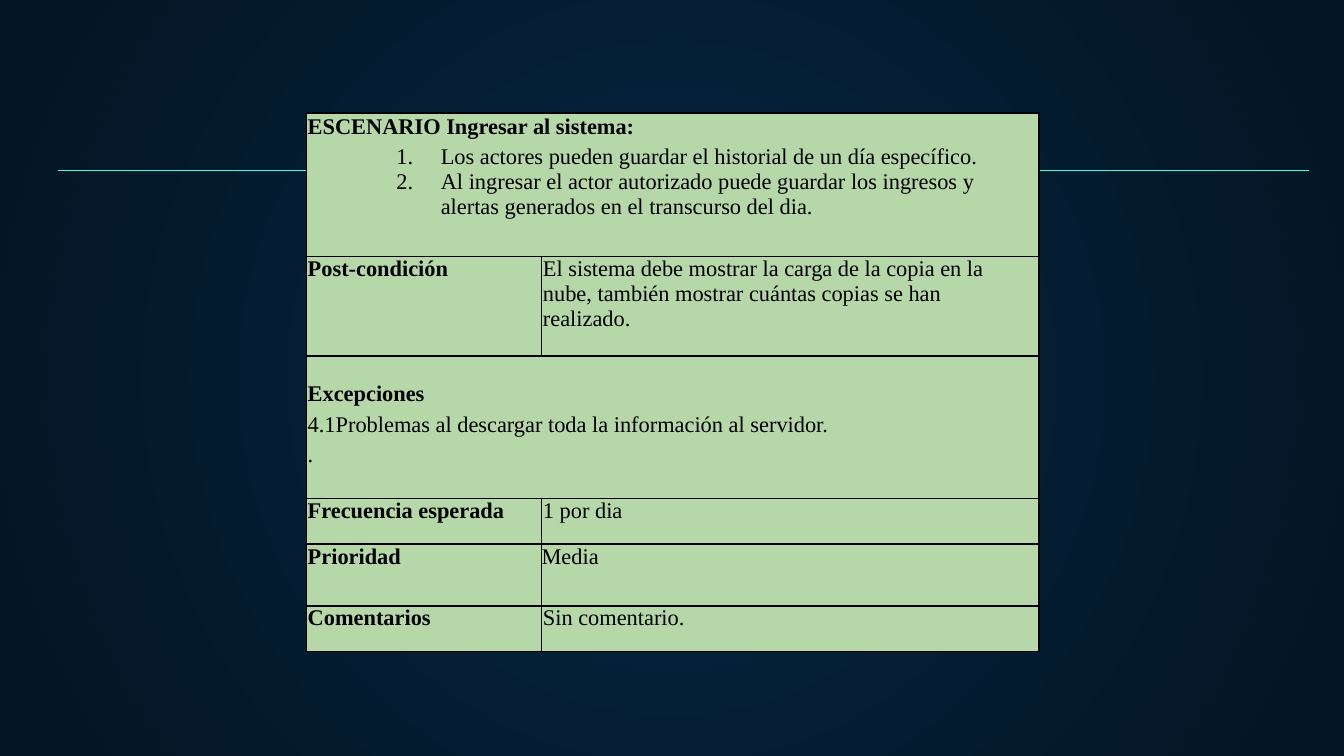
from lxml import etree
from pptx import Presentation
from pptx.dml.color import RGBColor
from pptx.enum.shapes import MSO_CONNECTOR
from pptx.oxml.ns import qn
from pptx.util import Inches, Pt

STRAIGHT = MSO_CONNECTOR.STRAIGHT
WIDTH = 10
HEIGHT = WIDTH * 9 / 16
COLUMNS = [1.75, 3.7]
ROWS = [1.07, 0.74, 1.06, 0.34, 0.46, 0.34]
TABLE_LEFT, TABLE_TOP = 2.28, 0.84
BLACK, GREEN, TURQUOISE = "000000", "B6D7A8", "48FFD5"
FONT = {"name": "Times New Roman", "size": Pt(12)}

# Each cell is a list of (text, style); a row with one cell spans both columns.
CONTENT = [
    [[("ESCENARIO Ingresar al sistema:", "label"),
      ("Los actores pueden guardar el historial de un día específico.", "step"),
      ("Al ingresar el actor autorizado puede guardar los ingresos y alertas "
       "generados en el transcurso del dia.", "step")]],
    [[("Post-condición", "label")],
     [("El sistema debe mostrar la carga de la copia en la nube, también mostrar "
       "cuántas copias se han realizado.", "text")]],
    [[("Excepciones", "label"),
      ("4.1Problemas al descargar toda la información al servidor.", "text"),
      (".", "text")]],
    [[("Frecuencia esperada", "label")], [("1 por dia", "text")]],
    [[("Prioridad", "label")], [("Media", "flush")]],
    [[("Comentarios", "label")], [("Sin comentario.", "text")]],
]
TOP_MARGINS = [0.01, 0, 0.19, 0, 0, 0]
INDENTS = {"label": (0.01, 0), "text": (0.01, 0), "flush": (0, 0), "step": (1, -0.33)}


def rgb(color):
    return RGBColor.from_string(color)


def add_element(parent, tag, **attributes):
    return etree.SubElement(parent, qn(tag), attributes)


def set_background(slide, center, edge):
    """Fill the background with a gradient that spreads from the middle."""
    fill = slide.background.fill
    fill.gradient()
    for stop, color in zip(fill.gradient_stops, (center, edge)):
        stop.color.rgb = rgb(color)
    gradient = slide.element.find(".//" + qn("a:gradFill"))
    gradient.remove(gradient.find(qn("a:lin")))
    circle = add_element(gradient, "a:path", path="circle")
    add_element(circle, "a:fillToRect", l="50000", t="50000", r="50000", b="50000")


def add_rule(slide, left, right, top, color):
    ends = [Inches(value) for value in (left, top, right, top)]
    rule = slide.shapes.add_connector(STRAIGHT, *ends)
    rule.line.color.rgb = rgb(color)
    rule.line.width = Pt(0.75)
    add_element(rule.element.spPr, "a:effectLst")


def add_number(paragraph):
    properties = paragraph._p.get_or_add_pPr()
    add_element(add_element(properties, "a:buClr"), "a:srgbClr", val=BLACK)
    add_element(properties, "a:buAutoNum", type="arabicPeriod")


def write_paragraph(paragraph, text, style):
    properties = paragraph._p.get_or_add_pPr()
    for name, value in zip(("marL", "indent"), INDENTS[style]):
        properties.set(name, str(Inches(value)))
    if style == "step":
        add_number(paragraph)
    run = paragraph.add_run()
    run.text = text
    for name, value in {**FONT, "bold": style == "label"}.items():
        setattr(run.font, name, value)
    run.font.color.rgb = rgb(BLACK)


def write_cell(cell, lines):
    frame = cell.text_frame
    previous = None
    for text, style in lines:
        paragraph = frame.add_paragraph() if previous else frame.paragraphs[0]
        if previous and (previous, style) != ("step", "step"):
            paragraph.space_before = Pt(3)
        write_paragraph(paragraph, text, style)
        previous = style


def format_cell(cell, margin_top):
    margins = {"margin_left": 0, "margin_right": 0.05, "margin_bottom": 0,
               "margin_top": margin_top}
    for name, value in margins.items():
        setattr(cell, name, Inches(value))
    properties = cell._tc.get_or_add_tcPr()
    for side in "LRTB":
        border = add_element(properties, f"a:ln{side}", w=str(Pt(1)))
        add_element(add_element(border, "a:solidFill"), "a:srgbClr", val=BLACK)
    cell.fill.solid()
    cell.fill.fore_color.rgb = rgb(GREEN)


def add_scenario_table(slide):
    box = [Inches(value) for value in (TABLE_LEFT, TABLE_TOP, sum(COLUMNS), sum(ROWS))]
    table = slide.shapes.add_table(len(ROWS), len(COLUMNS), *box).table
    for column, width in zip(table.columns, COLUMNS):
        column.width = Inches(width)
    for index, (height, cells) in enumerate(zip(ROWS, CONTENT)):
        table.rows[index].height = Inches(height)
        for cell in table.rows[index].cells:
            format_cell(cell, TOP_MARGINS[index])
        if len(cells) == 1:
            table.cell(index, 0).merge(table.cell(index, 1))
        for column, lines in enumerate(cells):
            write_cell(table.cell(index, column), lines)


def main():
    presentation = Presentation()
    presentation.slide_width = Inches(WIDTH)
    presentation.slide_height = Inches(HEIGHT)
    slide = presentation.slides.add_slide(presentation.slide_layouts[6])
    set_background(slide, "052643", "041523")
    add_rule(slide, 0.43, 9.74, 1.27, TURQUOISE)
    add_scenario_table(slide)
    presentation.save("out.pptx")


if __name__ == "__main__":
    main()
